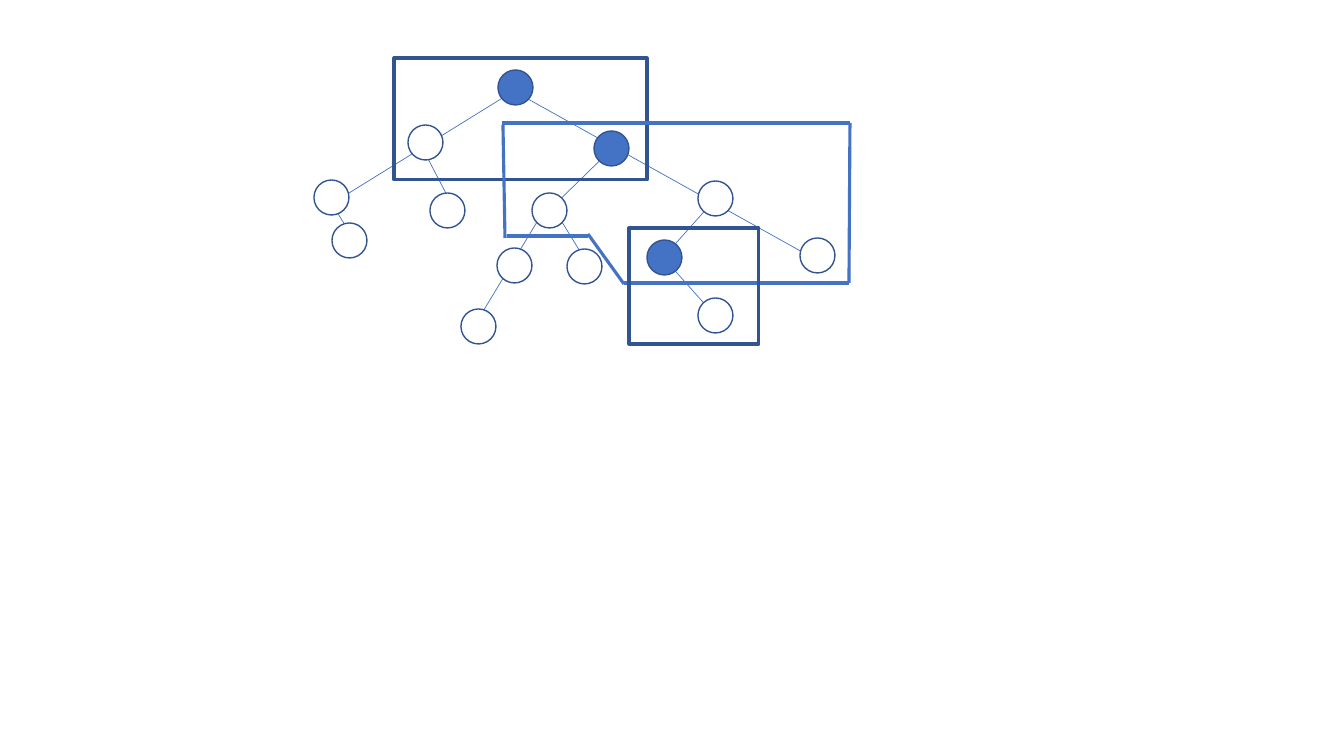
from lxml import etree
from pptx import Presentation
from pptx import util as u
from pptx.dml import color
from pptx.enum import shapes
from pptx.oxml import ns

SCALE = 914400 / 100.8  # EMU in one pixel
BLUE, NAVY, WHITE = "4472C4", "325491", "FFFFFF"
NODE_SIZE = 35

# All positions are pixels from the corner of the tree's box
EDGES = [
    (195, 36, 6, 153), (214, 41, 517, 210), (310, 79, 223, 164),
    (223, 164, 153, 280), (248, 164, 283, 221), (99, 72, 147, 164),
    (6, 127, 48, 194), (413, 128, 338, 212), (338, 187, 413, 271),
]
PLAIN_NODES = [
    (94, 67), (0, 122), (18, 165), (116, 135), (218, 135), (183, 190),
    (147, 251), (384, 123), (486, 180), (253, 191), (384, 240),
]
ROOT_NODES = [(184, 12), (280, 73), (333, 182)]
FRAMES = [(80, 0, 253, 122), (315, 170, 130, 116)]
OUTLINE = [
    (188, 65, 536, 65), (536, 65, 535, 225), (535, 225, 310, 225),
    (310, 226, 274, 176), (274, 178, 193, 178), (189, 67, 191, 180),
]


def px(length):
    return u.Emu(round(length * SCALE))


def rgb(code):
    return color.RGBColor.from_string(code)


def add_line(page, box, ends, weight):
    left, top = box
    x1, y1, x2, y2 = ends
    line = page.shapes.add_connector(
        shapes.MSO_CONNECTOR.STRAIGHT,
        px(left + x1), px(top + y1), px(left + x2), px(top + y2))
    line.line.color.rgb = rgb(BLUE)
    line.line.width = u.Pt(weight)
    etree.SubElement(line._element.spPr, ns.qn("a:effectLst"))


def add_figure(page, box, kind, area, weight, fill=None):
    left, top = box
    x, y, width, height = area
    figure = page.shapes.add_shape(
        kind, px(left + x), px(top + y), px(width), px(height))
    figure.shadow.inherit = False
    if fill:
        figure.fill.solid()
        figure.fill.fore_color.rgb = rgb(fill)
    else:
        figure.fill.background()
    figure.line.color.rgb = rgb(NAVY)
    figure.line.width = u.Pt(weight)


def add_tree(page, box):
    # Edges lie beneath the nodes
    for ends in EDGES:
        add_line(page, box, ends, 0.5)
    for nodes, fill in ((PLAIN_NODES, WHITE), (ROOT_NODES, BLUE)):
        for x, y in nodes:
            add_figure(page, box, shapes.MSO_SHAPE.OVAL,
                       (x, y, NODE_SIZE, NODE_SIZE), 1, fill)


def add_groups(page, box):
    # Two rectangular groups and one irregular group between them
    upper, lower = FRAMES
    add_figure(page, box, shapes.MSO_SHAPE.RECTANGLE, upper, 2.25)
    for ends in OUTLINE:
        add_line(page, box, ends, 2.25)
    add_figure(page, box, shapes.MSO_SHAPE.RECTANGLE, lower, 2.25)


deck = Presentation()
deck.slide_width, deck.slide_height = px(1344), px(756)
page = deck.slides.add_slide(deck.slide_layouts[6])
tree_box = (314, 58)
add_tree(page, tree_box)
add_groups(page, tree_box)
deck.save("out.pptx")
